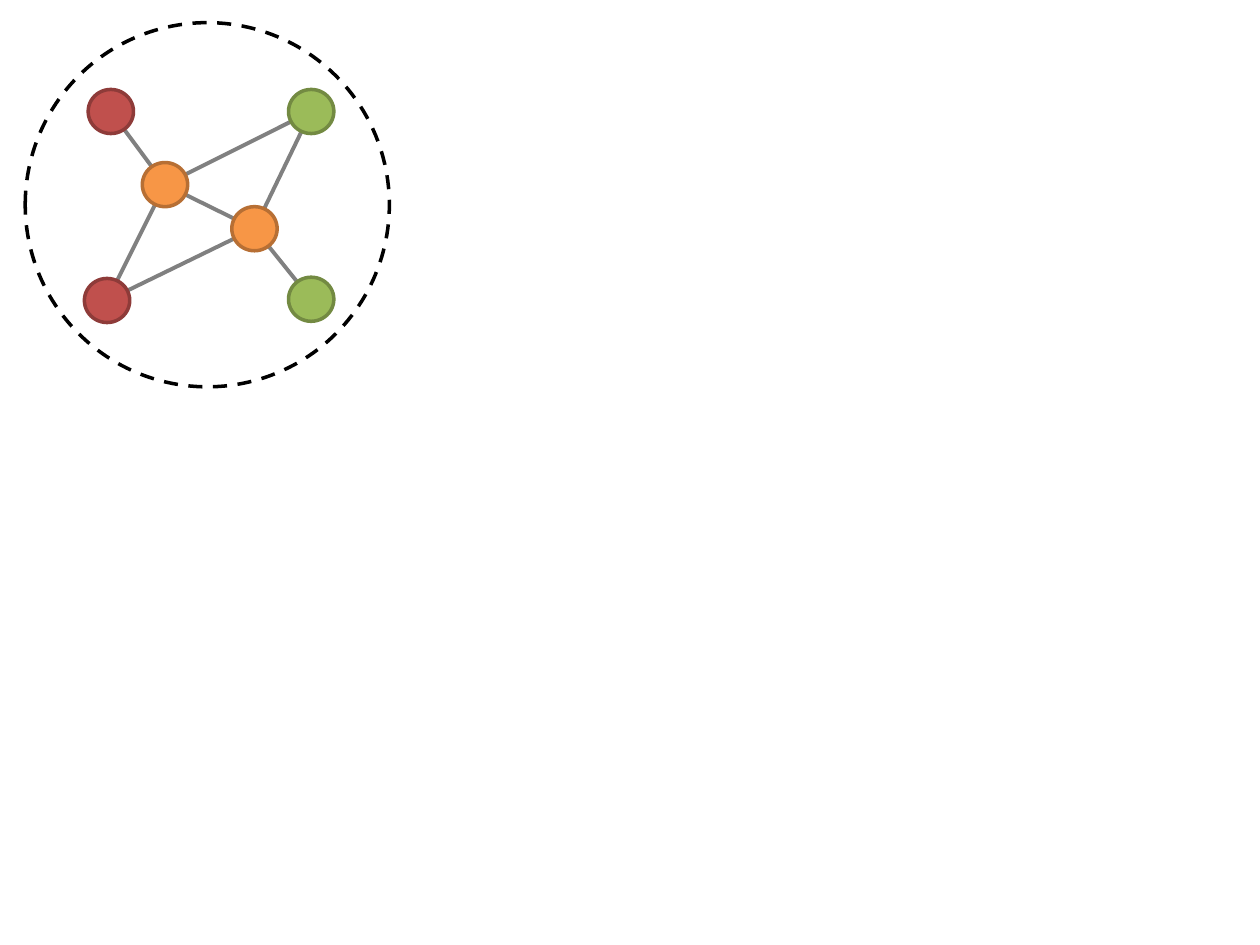
from pptx import Presentation
from pptx.dml.color import RGBColor
from pptx.enum.dml import MSO_LINE
from pptx.enum.shapes import MSO_CONNECTOR, MSO_SHAPE
from pptx.oxml.ns import qn
from pptx.util import Inches, Pt
from lxml.etree import SubElement

# Content: node name -> (left, top, group), edges between nodes
GROUPS = {
    "red": ("C0504D", "8E3B39"),
    "green": ("9BBB59", "738A42"),
    "orange": ("F79646", "B76F34"),
}
NODES = {
    "top left": (0.70, 0.71, "red"),
    "bottom left": (0.67, 2.21, "red"),
    "bottom right": (2.29, 2.20, "green"),
    "top right": (2.29, 0.71, "green"),
    "upper hub": (1.13, 1.29, "orange"),
    "lower hub": (1.84, 1.64, "orange"),
}
EDGES = [
    ("top right", "upper hub"),
    ("upper hub", "bottom left"),
    ("top left", "upper hub"),
    ("lower hub", "upper hub"),
    ("top right", "lower hub"),
    ("bottom right", "lower hub"),
    ("lower hub", "bottom left"),
]
NODE_WIDTH, NODE_HEIGHT = 0.36, 0.35
BOUNDARY = (0.2, 0.18, 2.89, 2.89)


def set_line(line, color, **formats):
    line.color.rgb = RGBColor.from_string(color)
    for name, value in formats.items():
        setattr(line, name, value)


def center(node):
    left, top, _ = NODES[node]
    return Inches(left + NODE_WIDTH / 2), Inches(top + NODE_HEIGHT / 2)


def add_edge(slide, start, end):
    edge = slide.shapes.add_connector(
        MSO_CONNECTOR.STRAIGHT, *center(start), *center(end))
    set_line(edge.line, "808080", width=Pt(2.25))
    SubElement(edge._element.spPr, qn("a:effectLst"))


def add_circle(slide, box, fill, outline, **formats):
    circle = slide.shapes.add_shape(MSO_SHAPE.OVAL, *map(Inches, box))
    circle.shadow.inherit = False
    if fill:
        circle.fill.solid()
        circle.fill.fore_color.rgb = RGBColor.from_string(fill)
    else:
        circle.fill.background()
    set_line(circle.line, outline, width=Pt(2), **formats)


def main():
    presentation = Presentation()
    presentation.slide_width = Inches(10)
    presentation.slide_height = Inches(7.5)
    slide = presentation.slides.add_slide(presentation.slide_layouts[6])

    # Edges run between node centers, behind the nodes
    for start, end in EDGES:
        add_edge(slide, start, end)

    # Nodes
    for left, top, group in NODES.values():
        add_circle(slide, (left, top, NODE_WIDTH, NODE_HEIGHT), *GROUPS[group])

    # Dashed boundary around the network
    add_circle(slide, BOUNDARY, None, "000000", dash_style=MSO_LINE.DASH)

    presentation.save("out.pptx")


if __name__ == "__main__":
    main()
